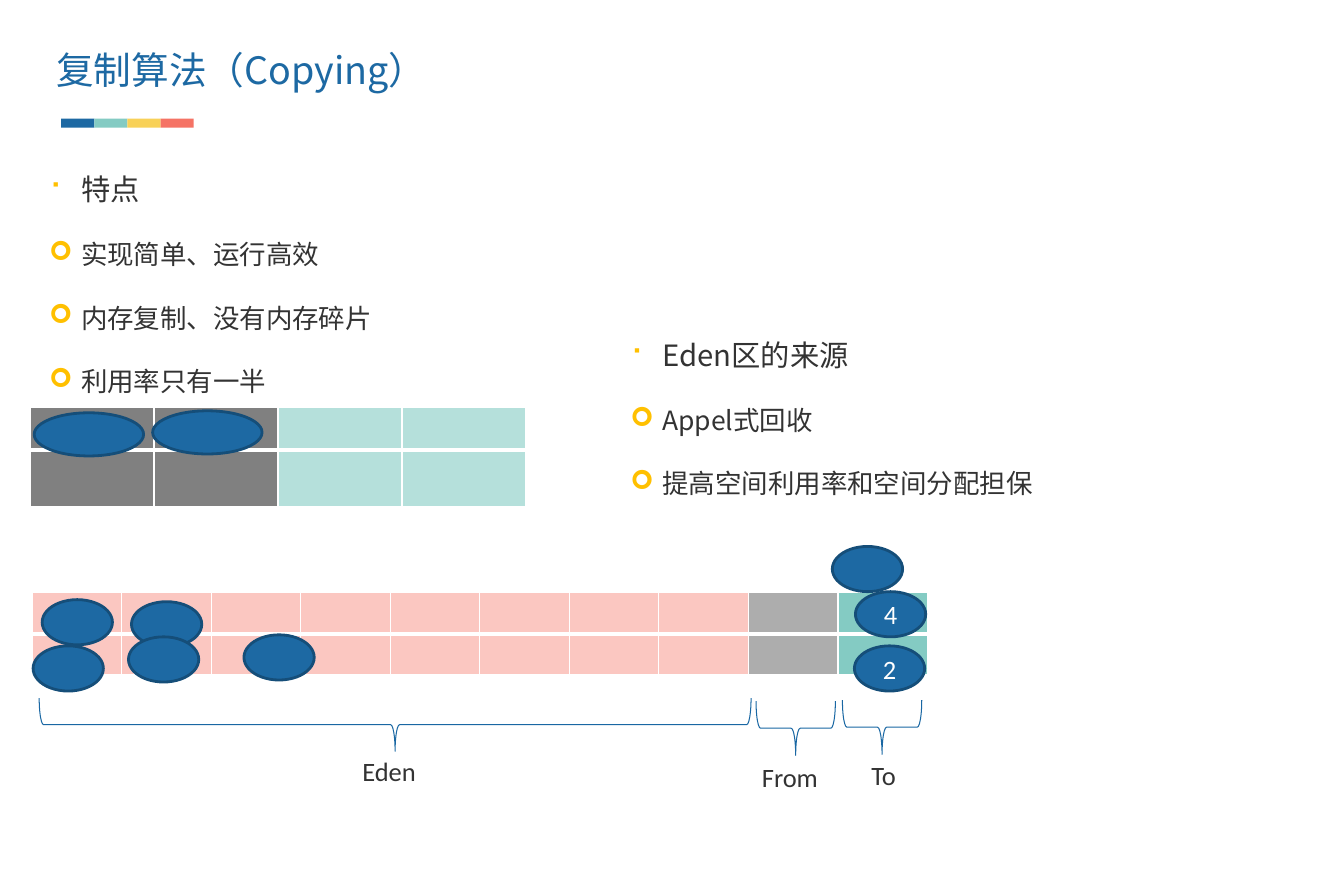
from dataclasses import dataclass
from lxml import etree
from pptx import Presentation
from pptx.dml.color import RGBColor
from pptx.enum.shapes import MSO_SHAPE
from pptx.enum.text import MSO_ANCHOR, MSO_AUTO_SIZE, PP_ALIGN
from pptx.oxml.ns import qn
from pptx.util import Inches, Pt

RECT, OVAL, BRACE = MSO_SHAPE.RECTANGLE, MSO_SHAPE.OVAL, MSO_SHAPE.LEFT_BRACE
LEFT, CENTER = PP_ALIGN.LEFT, PP_ALIGN.CENTER
TOP, MIDDLE = MSO_ANCHOR.TOP, MSO_ANCHOR.MIDDLE
FIXED = MSO_AUTO_SIZE.NONE


@dataclass(frozen=True)
class Theme:
    blue: str = "1D69A3"
    edge: str = "154E79"
    brace: str = "1967A3"
    teal: str = "84CBC3"
    mint: str = "B5E0DB"
    yellow: str = "F8D158"
    red: str = "F57365"
    pink: str = "FBC7C1"
    dark: str = "808080"
    gray: str = "ADADAD"
    gold: str = "FFC000"
    ink: str = "333333"
    white: str = "FFFFFF"
    han: str = "Noto Sans CJK SC"
    latin: str = "Calibri"
    symbol: str = "Wingdings"
    title: int = 27
    head: int = 21
    body: int = 19


def rgb(code):
    return RGBColor.from_string(code)


def add(parent, tag, **attrs):
    return etree.SubElement(parent, qn(tag), **attrs)


class Board:
    def __init__(self, slide, theme):
        self.slide, self.theme = slide, theme

    def style(self, para, size, color, font):
        for run in para.runs:
            run.font.size, run.font.name = Pt(size), font
            run.font.color.rgb = rgb(color)
            add(run.font._element, "a:ea", typeface=font)

    def title(self, text, *box):
        t, shape = self.theme, self.slide.shapes.title
        shape.left, shape.top, shape.width, shape.height = map(Inches, box)
        frame = shape.text_frame
        frame.text = text
        frame.auto_size, frame.vertical_anchor = FIXED, TOP
        frame.margin_left = frame.margin_right = 0
        frame.margin_top = frame.margin_bottom = 0
        frame.paragraphs[0].alignment = LEFT
        self.style(frame.paragraphs[0], t.title, t.blue, t.han)

    def shape(self, kind, *box, fill=None, line=None, weight=2):
        item = self.slide.shapes.add_shape(kind, *map(Inches, box))
        item.shadow.inherit = False
        if fill:
            item.fill.solid()
            item.fill.fore_color.rgb = rgb(fill)
        else:
            item.fill.background()
        if line:
            item.line.color.rgb = rgb(line)
            item.line.width = Pt(weight)
        else:
            item.line.fill.background()
        return item

    def oval(self, left, top, width=0.7, height=0.45, text=""):
        t = self.theme
        item = self.shape(OVAL, left, top, width, height, fill=t.blue, line=t.edge)
        if text:
            frame = item.text_frame
            frame.text, frame.vertical_anchor = text, MIDDLE
            frame.paragraphs[0].alignment = CENTER
            self.style(frame.paragraphs[0], t.body, t.white, t.latin)

    def brace(self, left, top, width, height):
        """Place a downward brace by the box it covers once turned."""
        shift = (width - height) / 2
        item = self.shape(BRACE, left + shift, top - shift, height, width,
                          line=self.theme.brace, weight=0.75)
        item.rotation = 270

    def text(self, text, *box):
        frame = self.slide.shapes.add_textbox(*map(Inches, box)).text_frame
        frame.word_wrap, frame.text = True, text
        return frame

    def label(self, text, left, top, width):
        t = self.theme
        frame = self.text(text, left, top, width, 0.42)
        self.style(frame.paragraphs[0], t.body, t.ink, t.latin)

    def bullets(self, lines, *box):
        t = self.theme
        frame = self.text("\n".join(lines), *box)
        for i, para in enumerate(frame.paragraphs):
            mark, size, space = ("➢", t.body, 2.0) if i else ("■", t.head, 1.5)
            para.line_spacing = space
            self.style(para, size, t.ink, t.han)
            props = para._p.get_or_add_pPr()
            props.set("marL", str(Inches(0.32)))
            props.set("indent", str(-Inches(0.32)))
            add(add(props, "a:buClr"), "a:srgbClr", val=t.gold)
            add(props, "a:buFont", typeface=t.symbol, charset="2")
            add(props, "a:buChar", char=mark)

    def border(self, cell, weights):
        props = cell._tc.get_or_add_tcPr()
        for i, (side, weight) in enumerate(zip("LRTB", weights)):
            line = etree.Element(qn("a:ln" + side), w=str(Pt(weight)))
            add(add(line, "a:solidFill"), "a:srgbClr", val=self.theme.white)
            props.insert(i, line)

    def table(self, left, top, width, rows, fills):
        """Draw a memory grid whose columns each have one colour."""
        box = map(Inches, (left, top, width, sum(rows)))
        grid = self.slide.shapes.add_table(len(rows), len(fills), *box).table
        grid.first_row = grid.horz_banding = False
        for r, height in enumerate(rows):
            grid.rows[r].height = Inches(height)
            for c, color in enumerate(fills):
                grid.columns[c].width = Inches(width / len(fills))
                cell = grid.cell(r, c)
                cell.margin_top = cell.margin_bottom = 0
                cell.fill.solid()
                cell.fill.fore_color.rgb = rgb(color)
                self.border(cell, (1, 1, 3, 1) if r else (1, 1, 1, 3))


def main():
    # A page of 34 by 22 centimetres
    deck = Presentation()
    deck.slide_width = Inches(34 / 2.54)
    deck.slide_height = Inches(22 / 2.54)
    t = Theme()
    board = Board(deck.slides.add_slide(deck.slide_layouts[5]), t)

    # Title and colour strip
    board.title("复制算法（Copying）", 0.56, 0.47, 4.67, 0.45)
    for i, color in enumerate((t.blue, t.teal, t.yellow, t.red)):
        board.shape(RECT, 0.61 + 0.33 * i, 1.18, 0.33, 0.09, fill=color)

    # Bullet lists
    board.bullets(["特点", "实现简单、运行高效", "内存复制、没有内存碎片",
                   "利用率只有一半"], 0.39, 1.48, 5.26, 2.55)
    board.bullets(["Eden区的来源", "Appel式回收",
                   "提高空间利用率和空间分配担保"], 6.18, 3.13, 5.26, 1.91)

    # Half-and-half memory
    board.table(0.3, 4.06, 4.94, (0.42, 0.56), [t.dark] * 2 + [t.mint] * 2)
    for left, top in ((0.34, 4.11), (1.52, 4.09)):
        board.oval(left, top, 1.09, 0.43)

    # Eden, From and To memory
    board.table(0.32, 5.9, 8.92, (0.41, 0.41), [t.pink] * 8 + [t.gray, t.teal])
    board.brace(0.39, 6.95, 7.09, 0.53)
    board.brace(7.53, 6.98, 0.79, 0.54)
    board.brace(8.39, 6.97, 0.79, 0.54)
    board.label("Eden", 3.51, 7.47, 0.75)
    board.label("From", 7.49, 7.53, 0.93)
    board.label("To", 8.58, 7.51, 0.6)

    # Objects in memory
    board.oval(8.52, 5.89, text="4")
    board.oval(8.51, 6.43, text="2")
    for left, top in ((0.42, 5.97), (0.33, 6.43), (1.31, 5.99),
                      (8.29, 5.44), (1.28, 6.34), (2.43, 6.32)):
        board.oval(left, top)

    deck.save("out.pptx")


if __name__ == "__main__":
    main()
